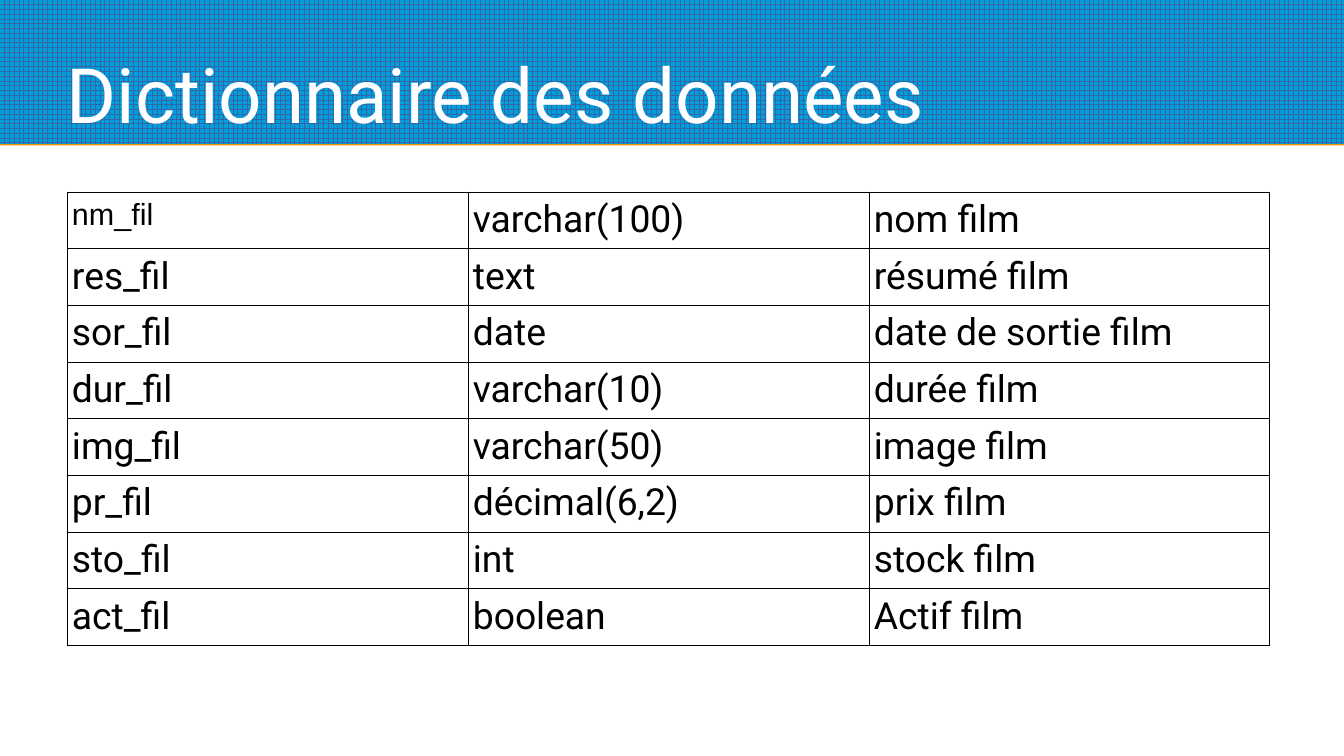
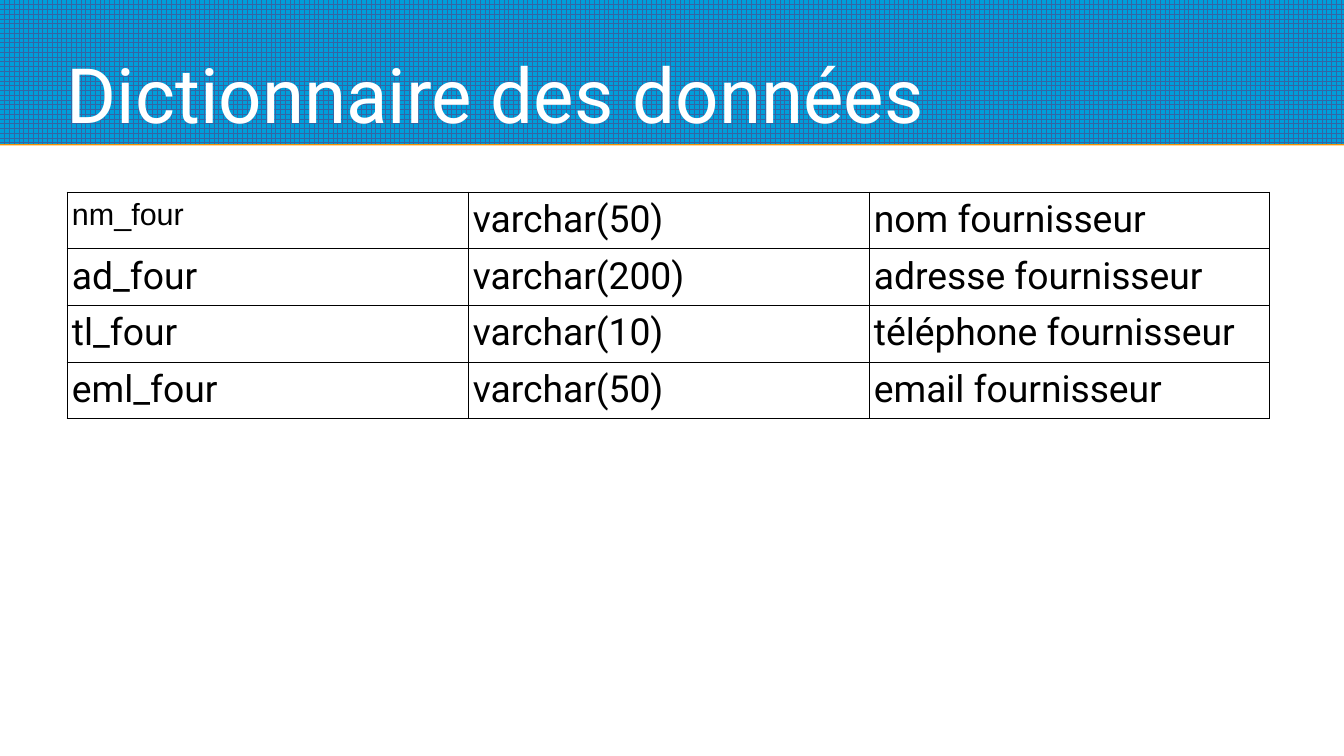
import pptx
import pptx.dml.color
import pptx.enum.dml
import pptx.enum.shapes
import pptx.enum.text
import pptx.oxml
import pptx.oxml.ns
import pptx.util

# Content: one title, one list of fields per slide
TITLE = "Dictionnaire des données"
TABLES = [
    [
        ("nm_fil", "varchar(100)", "nom film"),
        ("res_fil", "text", "résumé film"),
        ("sor_fil", "date", "date de sortie film"),
        ("dur_fil", "varchar(10)", "durée film"),
        ("img_fil", "varchar(50)", "image film"),
        ("pr_fil", "décimal(6,2)", "prix film"),
        ("sto_fil", "int", "stock film"),
        ("act_fil", "boolean", "Actif film"),
    ],
    [
        ("nm_four", "varchar(50)", "nom fournisseur"),
        ("ad_four", "varchar(200)", "adresse fournisseur"),
        ("tl_four", "varchar(10)", "téléphone fournisseur"),
        ("eml_four", "varchar(50)", "email fournisseur"),
    ],
]

# Shared style
COLORS = {
    "band": "009EDA",
    "grid": "3465A4",
    "edge": "F49100",
    "title": "FFFFFF",
    "ink": "000000",
}
FONT = "Roboto"
FIRST_FONT = "Arial"
WIDTH, HEIGHT = 1344, 756
BAND_H = 144
LEFT, TABLE_TOP = 67, 192
COL_W, FIRST_ROW_H, ROW_H = 401, 52, 51
PAD_X, PAD_Y = 5, 6


def px(n):
    return pptx.util.Emu(round(n * 914400 / 122))


def rgb(name):
    return pptx.dml.color.RGBColor.from_string(COLORS[name])


def set_font(p, name, size, color):
    p.font.name = name
    p.font.size = pptx.util.Pt(size)
    p.font.color.rgb = rgb(color)


def add_band(s):
    sp = s.shapes.add_shape(pptx.enum.shapes.MSO_SHAPE.RECTANGLE, 0, 0, px(WIDTH), px(BAND_H))
    sp.fill.patterned()
    sp.fill.pattern = pptx.enum.dml.MSO_PATTERN.LARGE_GRID
    sp.fill.fore_color.rgb = rgb("grid")
    sp.fill.back_color.rgb = rgb("band")
    sp.line.fill.background()
    # Thin orange edge cast under the band
    sp.shadow.inherit = False
    effects = sp._element.spPr.find(pptx.oxml.ns.qn("a:effectLst"))
    effects.append(pptx.oxml.parse_xml(
        f'<a:outerShdw {pptx.oxml.ns.nsdecls("a")} blurRad="0" dist="{pptx.util.Pt(0.9)}" '
        f'dir="5400000" algn="ctr" rotWithShape="0"><a:srgbClr val="{COLORS["edge"]}"/></a:outerShdw>'))


def add_title(s):
    tf = s.shapes.add_textbox(px(LEFT), px(12), px(1210), px(127)).text_frame
    tf.word_wrap = True
    tf.vertical_anchor = pptx.enum.text.MSO_ANCHOR.BOTTOM
    tf.margin_left = tf.margin_right = tf.margin_top = tf.margin_bottom = 0
    p = tf.paragraphs[0]
    p.text = TITLE
    set_font(p, FONT, 45, "title")


def style_cell(cell):
    cell.margin_left = cell.margin_right = px(PAD_X)
    cell.margin_top = cell.margin_bottom = px(PAD_Y)
    tc_pr = cell._tc.get_or_add_tcPr()
    for side in "LRTB":
        tc_pr.append(pptx.oxml.parse_xml(
            f'<a:ln{side} {pptx.oxml.ns.nsdecls("a")} w="{pptx.util.Pt(0.57)}"><a:solidFill>'
            f'<a:srgbClr val="{COLORS["ink"]}"/></a:solidFill></a:ln{side}>'))
    cell.fill.background()


def add_fields(s, rows):
    n_cols = len(rows[0])
    height = FIRST_ROW_H + ROW_H * (len(rows) - 1)
    table = s.shapes.add_table(len(rows), n_cols, px(LEFT), px(TABLE_TOP),
                               px(COL_W * n_cols), px(height)).table
    table.first_row = table.horz_banding = False
    for column in table.columns:
        column.width = px(COL_W)
    for i, fields in enumerate(rows):
        table.rows[i].height = px(ROW_H if i else FIRST_ROW_H)
        for j, text in enumerate(fields):
            cell = table.cell(i, j)
            style_cell(cell)
            p = cell.text_frame.paragraphs[0]
            p.text = text
            # The top-left field is set smaller, in its own font
            name, size = (FIRST_FONT, 18) if i == j == 0 else (FONT, 22)
            set_font(p, name, size, "ink")


def main():
    prs = pptx.Presentation()
    prs.slide_width, prs.slide_height = px(WIDTH), px(HEIGHT)
    for rows in TABLES:
        s = prs.slides.add_slide(prs.slide_layouts[6])
        add_band(s)
        add_title(s)
        add_fields(s, rows)
    prs.save("out.pptx")


if __name__ == "__main__":
    main()
